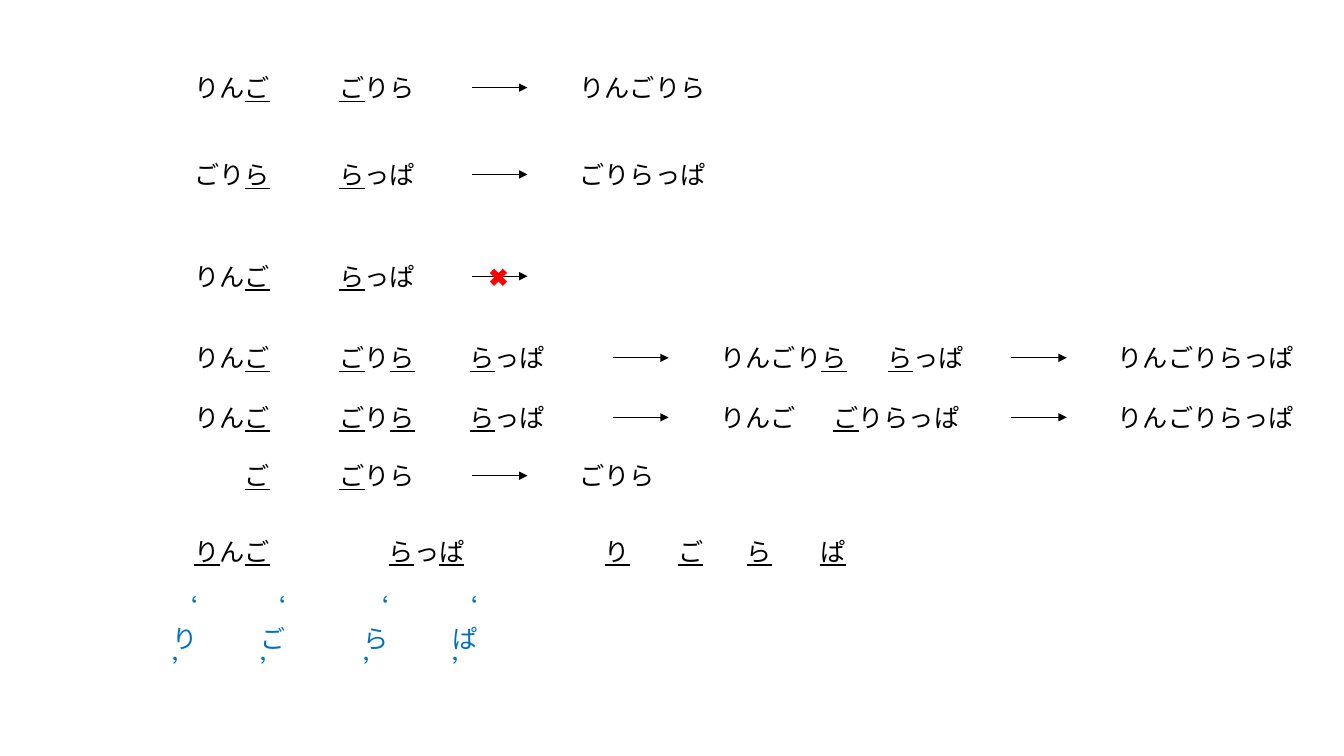
from lxml import etree
from pptx import Presentation
from pptx.dml.color import RGBColor
from pptx.enum.shapes import MSO_CONNECTOR
from pptx.enum.text import MSO_AUTO_SIZE
from pptx.oxml.ns import qn
from pptx.util import Pt

STRAIGHT = MSO_CONNECTOR.STRAIGHT
FIT_SHAPE = MSO_AUTO_SIZE.SHAPE_TO_FIT_TEXT
FONT = "Noto Sans CJK JP"
COLORS = {"text": "000000", "cross": "FF0000", "letter": "0070C0"}

BOX_HEIGHT = 28.8
ARROW_LENGTH = 39.8
WIDTHS = {1: 32.4, 3: 69.1, 4: 88.2, 5: 107.3, 7: 151.9}  # by number of kana
LETTER_WIDTH = 41.8

FIRST, SECOND, THIRD = 131.8, 235.4, 328.3
ARROW, RESULT = 337, 406.8
LONG_ARROW, LONG_RESULT = 437.8, 507.6
LAST_ARROW, LAST_RESULT = 722.2, 791.3

# Row top, words as (left, text) with _underlined_ kana, lefts of arrows
ROWS = [
    (48.2, [(FIRST, "りん_ご_"), (SECOND, "_ご_りら"), (RESULT, "りんごりら")], [ARROW]),
    (110.2, [(FIRST, "ごり_ら_"), (SECOND, "_ら_っぱ"), (RESULT, "ごりらっぱ")], [ARROW]),
    (182.9, [(FIRST, "りん_ご_"), (SECOND, "_ら_っぱ")], [ARROW]),
    (241.2, [(FIRST, "りん_ご_"), (SECOND, "_ご_り_ら_"), (THIRD, "_ら_っぱ"),
             (LONG_RESULT, "りんごり_ら_"), (627.1, "_ら_っぱ"),
             (LAST_RESULT, "りんごりらっぱ")], [LONG_ARROW, LAST_ARROW]),
    (283.7, [(FIRST, "りん_ご_"), (SECOND, "_ご_り_ら_"), (THIRD, "_ら_っぱ"),
             (LONG_RESULT, "りんご"), (588.2, "_ご_りらっぱ"),
             (LAST_RESULT, "りんごりらっぱ")], [LONG_ARROW, LAST_ARROW]),
    (325.4, [(167.8, "_ご_"), (SECOND, "_ご_りら"), (RESULT, "ごりら")], [ARROW]),
    (379.4, [(FIRST, "_り_ん_ご_"), (270.7, "_ら_っ_ぱ_"), (424.8, "_り_"),
             (477.4, "_ご_"), (526.3, "_ら_"), (578.9, "_ぱ_")], []),
]
CROSS = (342, 182.9)
LETTER_TOP = 419.8
LETTERS = [(115.9, "‘り’"), (179.3, "‘ご’"), (252.7, "‘ら’"), (316.1, "‘ぱ’")]


def add_word(slide, left, top, text, color="text", width=None):
    """Add a text box; kana between underscores are underlined."""
    width = width or WIDTHS[len(text.replace("_", ""))]
    sp = slide.shapes.add_textbox(Pt(left), Pt(top), Pt(width), Pt(BOX_HEIGHT))
    tf = sp.text_frame
    tf.word_wrap = True
    tf.auto_size = FIT_SHAPE
    p = tf.paragraphs[0]
    for i, part in enumerate(text.split("_")):
        if not part:
            continue
        r = p.add_run()
        r.text = part
        r.font.size = Pt(18)
        r.font.name = FONT
        r.font.color.rgb = RGBColor.from_string(COLORS[color])
        if i % 2:
            r.font.underline = True
        etree.SubElement(r.font._element, qn("a:ea"), typeface=FONT)


def add_arrow(slide, left, row_top):
    y = Pt(row_top + BOX_HEIGHT / 2)
    line = slide.shapes.add_connector(STRAIGHT, Pt(left), y, Pt(left + ARROW_LENGTH), y)
    line.line.color.rgb = RGBColor.from_string(COLORS["text"])
    line.line.width = Pt(0.5)
    etree.SubElement(line.line._get_or_add_ln(), qn("a:tailEnd"), type="triangle")
    etree.SubElement(line._element.spPr, qn("a:effectLst"))


def main():
    prs = Presentation()
    prs.slide_width, prs.slide_height = Pt(960), Pt(540)
    slide = prs.slides.add_slide(prs.slide_layouts[6])
    for top, words, arrows in ROWS:
        for left, text in words:
            add_word(slide, left, top, text)
        for left in arrows:
            add_arrow(slide, left, top)
    add_word(slide, *CROSS, "✖", "cross")
    for left, text in LETTERS:
        add_word(slide, left, LETTER_TOP, text, "letter", LETTER_WIDTH)
    prs.save("out.pptx")


if __name__ == "__main__":
    main()
